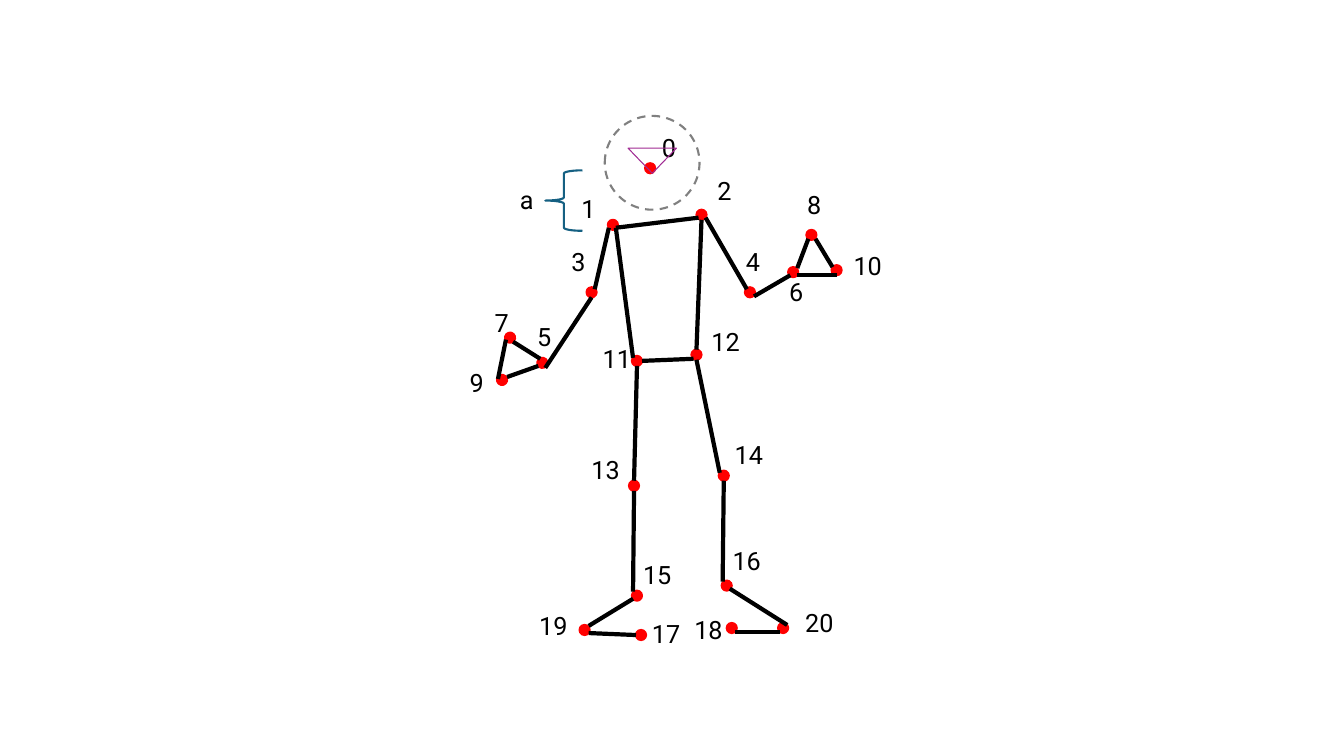
"""Draw a stick figure with numbered body joints and a braced neck length."""
from dataclasses import dataclass

from lxml import etree
from pptx import Presentation
from pptx.dml.color import RGBColor
from pptx.enum.dml import MSO_LINE
from pptx.enum.shapes import MSO_CONNECTOR, MSO_SHAPE
from pptx.enum.text import MSO_AUTO_SIZE
from pptx.oxml.ns import qn
from pptx.shapes.autoshape import Shape
from pptx.slide import Slide
from pptx.util import Pt

DOT = MSO_SHAPE.FLOWCHART_CONNECTOR
WEDGE = MSO_SHAPE.ISOSCELES_TRIANGLE
BRACE = MSO_SHAPE.LEFT_BRACE
DASH = MSO_LINE.DASH
LINE = MSO_CONNECTOR.STRAIGHT
GROW = MSO_AUTO_SIZE.SHAPE_TO_FIT_TEXT

RED = RGBColor(0xFF, 0x00, 0x00)
BLACK = RGBColor(0x00, 0x00, 0x00)
GREY = RGBColor(0x80, 0x80, 0x80)
PURPLE = RGBColor(0xA0, 0x2B, 0x93)
BLUE = RGBColor(0x15, 0x60, 0x82)

FONT = "Roboto"
SIZE = 18
DOT_SIZE = 7.2
TILT = 102.7
TALL = 28.8
LOOSE = 24.5
WIDTHS = {1: 20.9, 2: 35.3}


@dataclass
class Joint:
    """Dot corner, label corner and turn of one joint."""
    x: float
    y: float
    left: float
    top: float
    turn: float = 0


@dataclass
class Bone:
    """Line between two points."""
    x1: float
    y1: float
    x2: float
    y2: float


@dataclass
class Mark:
    """Outlined or filled preset shape."""
    kind: MSO_SHAPE
    x: float
    y: float
    w: float
    h: float
    color: RGBColor
    line: float = 1.5
    turn: float = 0
    fill: bool = False
    dash: bool = False


JOINTS = [
    Joint(460.8, 116.6, 465.8, 90.7),
    Joint(434.2, 157, 408.2, 134.6),
    Joint(497.5, 149.8, 505.4, 121.7),
    Joint(419, 205.2, 401, 172.1),
    Joint(532.1, 205.2, 525.6, 172.1),
    Joint(383.8, 255.6, 376.6, 226.1, TILT),
    Joint(563, 190.8, 556.6, 193.7),
    Joint(360.7, 237.6, 346.3, 216, TILT),
    Joint(576, 164.2, 569.5, 131.8),
    Joint(355, 267.8, 328.3, 258.5, TILT),
    Joint(594, 189.4, 602.6, 175),
    Joint(451.4, 254.2, 423.4, 241.9),
    Joint(493.9, 249.8, 501.1, 229.7),
    Joint(449.3, 343.4, 415.4, 321.1),
    Joint(513.4, 336.2, 517.7, 310.3),
    Joint(451.4, 421.9, 452.2, 396),
    Joint(515.5, 414.7, 516.2, 385.9),
    Joint(454.3, 450, 458.6, 437.8),
    Joint(519.1, 445, 488.9, 435.6),
    Joint(414, 446.4, 378, 432.7),
    Joint(555.8, 445, 568.1, 430.6),
]

BONES = [
    Bone(434.9, 162.7, 424.8, 206.6),
    Bone(422.6, 212.4, 389.5, 262.8),
    Bone(385.9, 256.3, 366.5, 244.1),
    Bone(384.5, 261.4, 362.2, 269.3),
    Bone(355.7, 270.7, 361.4, 242.6),
    Bone(439.9, 162.7, 452.2, 255.6),
    Bone(455, 261.4, 452.9, 343.4),
    Bone(452.9, 350.6, 452.2, 422.6),
    Bone(452.2, 427.7, 420.5, 447.1),
    Bone(454.3, 453.6, 420.5, 452.2),
    Bone(504, 155.5, 533.5, 206.6),
    Bone(538.6, 211.7, 564.5, 196.6),
    Bone(577.4, 170.6, 569.5, 191.5),
    Bone(582.5, 170.6, 594.7, 190.8),
    Bone(597.6, 196.6, 569.5, 196.6),
    Bone(501.1, 157, 497.5, 249.8),
    Bone(497.5, 257, 514.1, 337.7),
    Bone(517, 343.4, 516.2, 415.4),
    Bone(521.3, 420.5, 562.3, 446.4),
    Bone(524.9, 451.4, 557.3, 451.4),
    Bone(458.6, 257.8, 495.4, 256.3),
    Bone(439.9, 162.7, 499, 155.5),
]

HEAD = Mark(DOT, 432, 82.8, 67.7, 67, GREY, dash=True)
FACE = Mark(WEDGE, 448.6, 105.8, 34.6, 18, PURPLE, line=0.75, turn=180)
NECK = Mark(BRACE, 389.5, 121.7, 26.6, 43.2, BLUE)


def add_mark(slide: Slide, mark: Mark) -> Shape:
    """Draw one preset shape."""
    shape = slide.shapes.add_shape(
        mark.kind, Pt(mark.x), Pt(mark.y), Pt(mark.w), Pt(mark.h))
    shape.shadow.inherit = False
    shape.rotation = mark.turn
    if mark.fill:
        shape.fill.solid()
        shape.fill.fore_color.rgb = mark.color
    else:
        shape.fill.background()
    shape.line.color.rgb = mark.color
    shape.line.width = Pt(mark.line)
    if mark.dash:
        shape.line.dash_style = DASH
    return shape


def add_bone(slide: Slide, bone: Bone) -> None:
    """Draw one thick black line."""
    line = slide.shapes.add_connector(
        LINE, Pt(bone.x1), Pt(bone.y1), Pt(bone.x2), Pt(bone.y2))
    line.line.color.rgb = BLACK
    line.line.width = Pt(3)
    etree.SubElement(line._element.spPr, qn("a:effectLst"))


def add_label(slide: Slide, text: str, left: float, top: float,
              wide: float, wrap: bool = True) -> None:
    """Write one label."""
    box = slide.shapes.add_textbox(Pt(left), Pt(top), Pt(wide), Pt(TALL))
    frame = box.text_frame
    frame.word_wrap = wrap
    frame.auto_size = GROW
    run = frame.paragraphs[0].add_run()
    run.text = text
    run.font.name = FONT
    run.font.size = Pt(SIZE)
    run.font.color.rgb = BLACK


def main() -> None:
    """Build and save the slide."""
    deck = Presentation()
    deck.slide_width, deck.slide_height = Pt(960), Pt(540)
    slide = deck.slides.add_slide(deck.slide_layouts[6])
    for joint in JOINTS:
        add_mark(slide, Mark(DOT, joint.x, joint.y, DOT_SIZE, DOT_SIZE, RED,
                             turn=joint.turn, fill=True))
    for bone in BONES:
        add_bone(slide, bone)
    add_mark(slide, HEAD)
    for num, joint in enumerate(JOINTS):
        text = str(num)
        wide = WIDTHS[len(text)] if num else LOOSE
        add_label(slide, text, joint.left, joint.top, wide, num > 0)
    add_mark(slide, FACE)
    add_mark(slide, NECK)
    add_label(slide, "a", 364.3, 128.2, LOOSE, False)
    deck.save("out.pptx")


if __name__ == "__main__":
    main()
